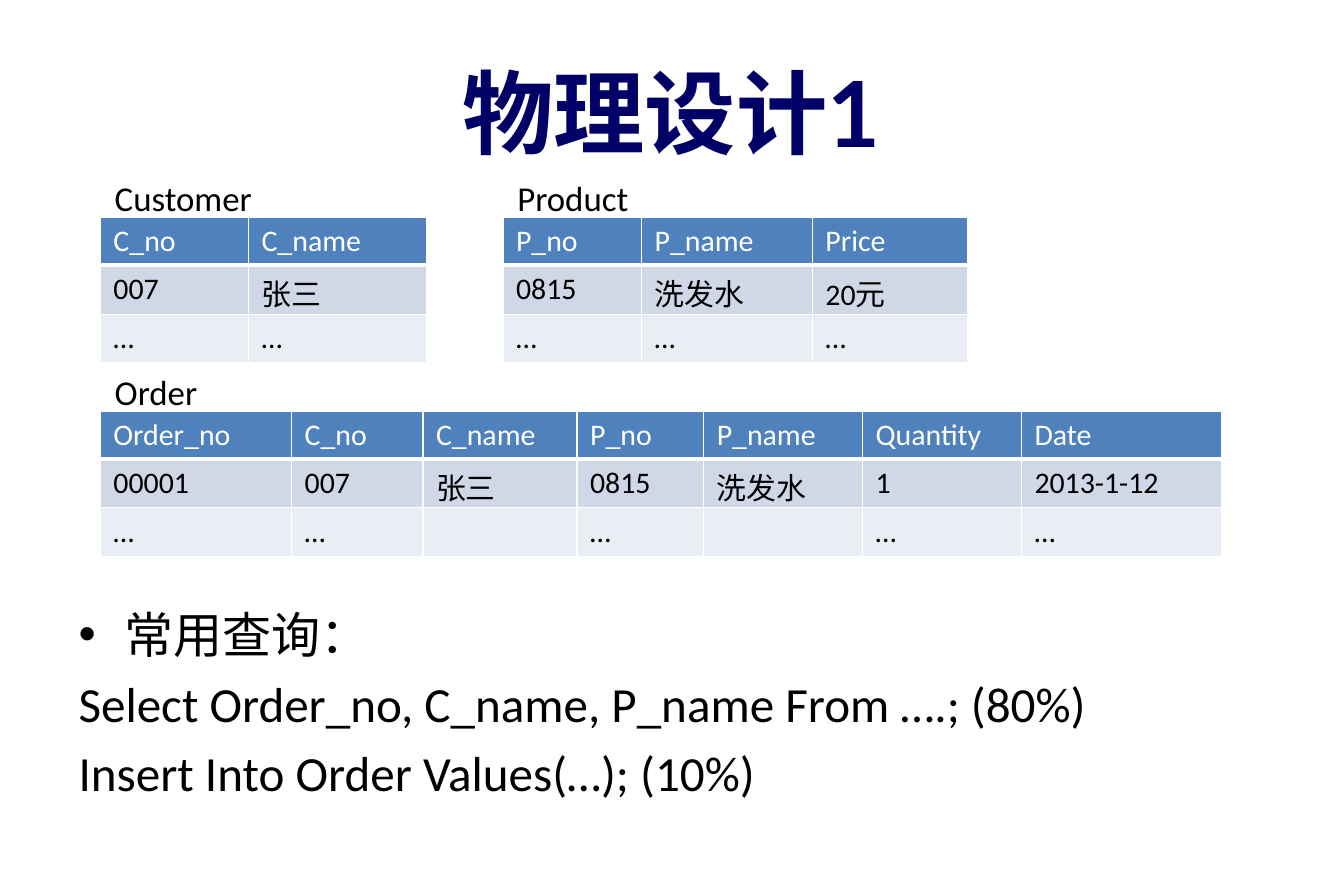
import dataclasses

import lxml.etree
import pptx
import pptx.dml.color
import pptx.enum.text
import pptx.oxml.ns
import pptx.util

Inches = pptx.util.Inches
Pt = pptx.util.Pt


@dataclasses.dataclass(frozen=True)
class Theme:
    title_font: str = "Lato"
    body_font: str = "Calibri"
    chinese_font: str = "Noto Sans CJK SC"
    title_size: float = 55
    body_size: float = 29.6
    label_size: float = 21
    cell_size: float = 18
    navy: str = "000066"
    black: str = "000000"
    white: str = "FFFFFF"
    header_fill: str = "4F81BD"
    row_fills: tuple = ("D0D8E8", "E9EDF4")


THEME = Theme()
ROW_HEIGHTS = (0.4, 0.41, 0.41)

# Each table: name, left, top, column widths, rows
TABLES = [
    ("Order", 0.84, 3.44, (1.6, 1.1, 1.29, 1.06, 1.33, 1.33, 1.68), [
        ("Order_no", "C_no", "C_name", "P_no", "P_name", "Quantity", "Date"),
        ("00001", "007", "张三", "0815", "洗发水", "1", "2013-1-12"),
        ("…", "…", "", "…", "", "…", "…"),
    ]),
    ("Customer", 0.84, 1.82, (1.24, 1.49), [
        ("C_no", "C_name"),
        ("007", "张三"),
        ("…", "…"),
    ]),
    ("Product", 4.21, 1.82, (1.16, 1.43, 1.3), [
        ("P_no", "P_name", "Price"),
        ("0815", "洗发水", "20元"),
        ("…", "…", "…"),
    ]),
]


def rgb(value):
    return pptx.dml.color.RGBColor.from_string(value)


def style_font(font, name, size, color, bold=False):
    font.name = name
    font.size = Pt(size)
    font.bold = bold
    font.color.rgb = rgb(color)


def add_text_frame(page, left, top, width, height, inset=(0.1, 0.05), wrap=True):
    box = page.shapes.add_textbox(
        Inches(left), Inches(top), Inches(width), Inches(height))
    frame = box.text_frame
    frame.word_wrap = wrap
    frame.margin_left = frame.margin_right = Inches(inset[0])
    frame.margin_top = frame.margin_bottom = Inches(inset[1])
    return frame


def add_title(page, text):
    frame = add_text_frame(page, 0.56, 0.3, 10.12, 1.25)
    frame.vertical_anchor = pptx.enum.text.MSO_ANCHOR.MIDDLE
    para = frame.paragraphs[0]
    para.text = text
    para.alignment = pptx.enum.text.PP_ALIGN.CENTER
    style_font(para.font, THEME.title_font, THEME.title_size, THEME.navy, True)


def add_label(page, text, left, top):
    frame = add_text_frame(page, left, top, 1.39, 0.47, (0.12, 0.06), wrap=False)
    para = frame.paragraphs[0]
    para.text = text
    style_font(para.font, THEME.body_font, THEME.label_size, THEME.black)


def add_header_borders(cell):
    properties = cell._tc.get_or_add_tcPr()
    for position, (side, points) in enumerate(
            (("lnL", 1), ("lnR", 1), ("lnT", 1), ("lnB", 3))):
        line = lxml.etree.Element(
            pptx.oxml.ns.qn(f"a:{side}"), w=str(Pt(points)))
        fill = lxml.etree.SubElement(line, pptx.oxml.ns.qn("a:solidFill"))
        lxml.etree.SubElement(
            fill, pptx.oxml.ns.qn("a:srgbClr"), val=THEME.white)
        properties.insert(position, line)


def add_data_table(page, left, top, widths, rows):
    table = page.shapes.add_table(
        len(rows), len(widths), Inches(left), Inches(top),
        Inches(sum(widths)), Inches(sum(ROW_HEIGHTS))).table
    for column, width in zip(table.columns, widths):
        column.width = Inches(width)
    for row, height in zip(table.rows, ROW_HEIGHTS):
        row.height = Inches(height)
    fills = (THEME.header_fill, *THEME.row_fills)
    for row_index, values in enumerate(rows):
        is_header = row_index == 0
        for column_index, value in enumerate(values):
            cell = table.cell(row_index, column_index)
            cell.margin_left = cell.margin_right = Inches(0.11)
            cell.margin_top = cell.margin_bottom = Inches(0.05)
            cell.fill.solid()
            cell.fill.fore_color.rgb = rgb(fills[row_index])
            para = cell.text_frame.paragraphs[0]
            para.text = value
            style_font(para.font, THEME.body_font, THEME.cell_size,
                       THEME.white if is_header else THEME.black)
            if is_header:
                add_header_borders(cell)


def format_query_line(para, bullet=False):
    para.space_before = Pt(6)
    properties = para._p.get_or_add_pPr()
    properties.set("marL", str(Inches(0.38)))
    properties.set("indent", str(Inches(-0.38)))
    if bullet:
        lxml.etree.SubElement(
            properties, pptx.oxml.ns.qn("a:buFont"), typeface="Arial")
        lxml.etree.SubElement(
            properties, pptx.oxml.ns.qn("a:buChar"), char="•")
    else:
        lxml.etree.SubElement(properties, pptx.oxml.ns.qn("a:buNone"))


def add_queries(page, heading, queries):
    frame = add_text_frame(page, 0.56, 5.01, 10.12, 1.69)
    para = frame.paragraphs[0]
    format_query_line(para, bullet=True)
    for text, font_name in ((heading, THEME.chinese_font),
                            ("：", THEME.body_font)):
        span = para.add_run()
        span.text = text
        style_font(span.font, font_name, THEME.body_size, THEME.black)
    for query in queries:
        para = frame.add_paragraph()
        para.text = query
        format_query_line(para)
        style_font(para.font, THEME.body_font, THEME.body_size, THEME.black)


def main():
    deck = pptx.Presentation()
    deck.slide_width = Inches(11.25)
    deck.slide_height = Inches(7.5)
    page = deck.slides.add_slide(deck.slide_layouts[6])

    # Title and common queries
    add_title(page, "物理设计1")
    add_queries(page, "常用查询", [
        "Select Order_no, C_name, P_name From ….; (80%)",
        "Insert Into Order Values(…); (10%)",
    ])

    # Tables, each with its name above
    for name, left, top, widths, rows in TABLES:
        add_data_table(page, left, top, widths, rows)
        add_label(page, name, left, top - 0.4)

    deck.save("out.pptx")


if __name__ == "__main__":
    main()
